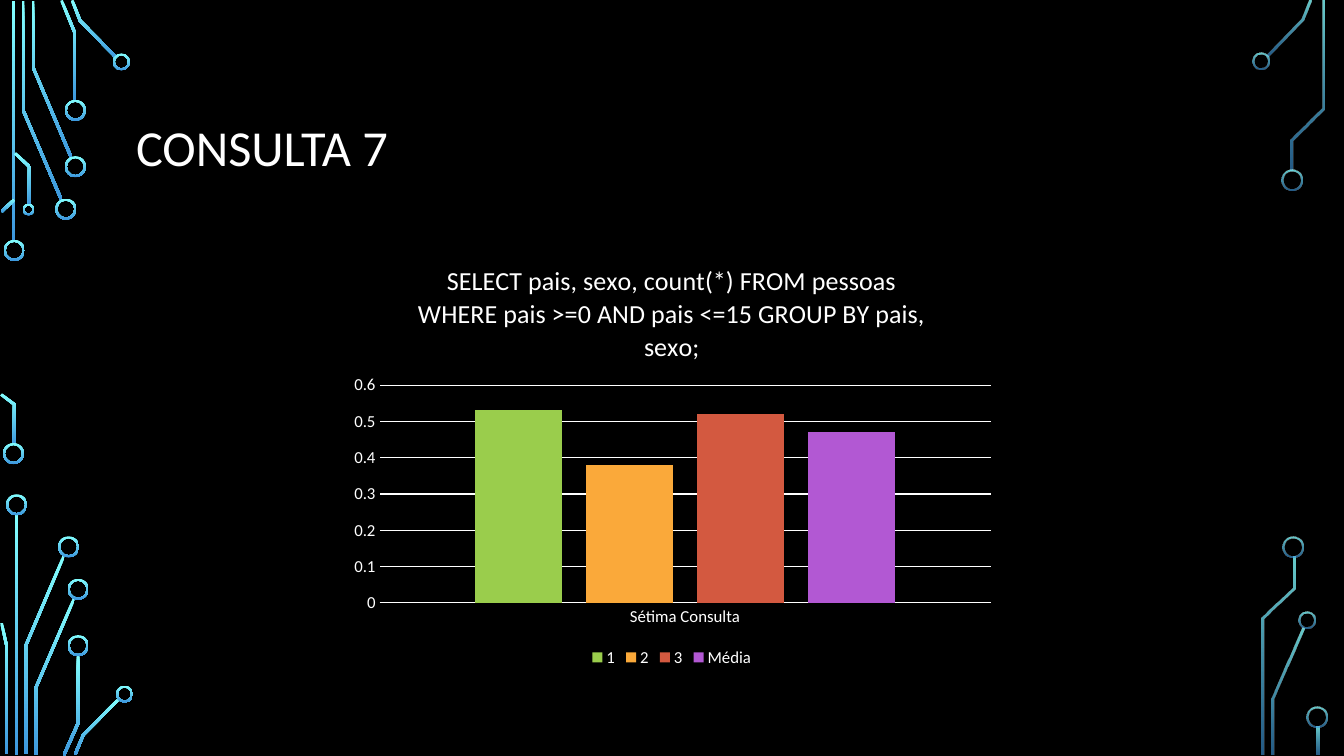
import math
from lxml import etree
from pptx import Presentation
from pptx import util as u
from pptx.chart.data import CategoryChartData
from pptx.dml.color import RGBColor
from pptx.enum import chart as ch, shapes, text
from pptx.oxml import parse_xml
from pptx.oxml.ns import nsdecls, qn

Cm, Pt = u.Cm, u.Pt
FONT = "Calibri"
COLORS = {"bg": "000000", "text": "FFFFFF", "glow": "82FFFF", "deep": "3D97DE",
          "1": "9ACD4C", "2": "FAA93A", "3": "D35940", "Média": "B258D3"}
TRACE, RING = 0.07, 0.05            # stroke widths in cm
BIG, MID, SMALL = 0.53, 0.43, 0.3   # node diameters in cm

# Circuit regions: (left, top), opacity of both gradient ends, traces, nodes.
# Traces and nodes are in cm from the region's corner.
CIRCUITS = [
    ((0, 0), (100, 100),
     [[(.34, .02), (.34, 6.1)],
      [(.58, .02), (.58, 2.77), (1.55, 5.04)],
      [(.83, .02), (.83, 1.69), (1.8, 3.98)],
      [(1.55, .01), (1.89, .84), (1.89, 2.54)],
      [(1.82, .01), (2.02, .52), (2.93, 1.45)],
      [(.04, 5.33), (.36, 5.03)],
      [(.38, 3.86), (.74, 4.2), (.74, 5.16)]],
     [(.36, 6.31, BIG), (1.66, 5.27, BIG), (1.9, 4.2, BIG),
      (1.9, 2.78, BIG), (3.06, 1.56, MID), (.72, 5.28, SMALL)]),
    ((0, 9.86), (100, 100),
     [[(.03, .08), (.36, .33), (.36, 1.35)]],
     [(.34, 1.57, BIG)]),
    ((0, 12.45), (100, 100),
     [[(.42, .51), (.42, 6.58)],
      [(.65, 6.55), (.65, 3.82), (1.61, 1.56)],
      [(.17, 6.55), (.17, 3.84), (.04, 3.25)],
      [(.9, 6.58), (.9, 4.89), (1.87, 2.63)],
      [(1.61, 6.58), (1.97, 5.77), (1.97, 4.06)],
      [(1.89, 6.57), (2.1, 6.07), (3, 5.16)]],
     [(.42, .27, BIG), (1.73, 1.33, BIG), (1.97, 2.4, BIG),
      (1.97, 3.82, BIG), (3.14, 5.04, MID)]),
    ((31.57, 0), (80, 60),
     [[(1.46, .01), (1.26, .5), (.36, 1.41)],
      [(1.77, .02), (1.77, 2.73), (.99, 3.52), (.99, 4.29)]],
     [(.22, 1.54, MID), (1, 4.53, BIG)]),
    ((31.78, 13.51), (80, 60),
     [[(.04, 5.51), (.04, 2.07), (.83, 1.31), (.83, .51)],
      [(.29, 5.51), (.29, 4.1), (1.07, 2.32)],
      [(1.44, 4.8), (1.44, 5.51)]],
     [(.81, .27, BIG), (1.16, 2.12, MID), (1.41, 4.57, BIG)]),
]


def rgb(name):
    return RGBColor.from_string(COLORS[name])


def style_font(font, size):
    font.name, font.size, font.bold = FONT, Pt(size), False
    font.color.rgb = rgb("text")


def glow(sp, opacity):
    """Vertical light-to-deep blue gradient without outline or shadow."""
    sp.shadow.inherit = False
    sp.line.fill.background()
    sp.fill.gradient()
    sp.fill.gradient_angle = 270
    for stop, name, alpha in zip(sp.fill.gradient_stops, ("glow", "deep"), opacity):
        stop.color.rgb = rgb(name)
    for clr, alpha in zip(sp._element.spPr.iter(qn("a:srgbClr")), opacity):
        if alpha < 100:
            etree.SubElement(clr, qn("a:alpha")).set("val", str(alpha * 1000))


def ribbon(pts):
    """Outline of a band of width TRACE around a polyline, with mitred bends."""
    dirs = [math.atan2(y2 - y1, x2 - x1) for (x1, y1), (x2, y2) in zip(pts, pts[1:])]
    left, right = [], []
    for (x, y), a, b in zip(pts, dirs[:1] + dirs, dirs + dirs[-1:]):
        mid, reach = (a + b) / 2, TRACE / 2 / math.cos((b - a) / 2)
        dx, dy = -math.sin(mid) * reach, math.cos(mid) * reach
        left.append((x + dx, y + dy))
        right.append((x - dx, y - dy))
    return left + right[::-1]


def add_circuit(s, corner, opacity, traces, nodes):
    x0, y0 = corner
    for trace in traces:
        outline = [(Cm(x0 + x), Cm(y0 + y)) for x, y in ribbon(trace)]
        fb = s.shapes.build_freeform(*outline[0], scale=1.0)
        fb.add_line_segments(outline[1:], close=True)
        glow(fb.convert_to_shape(), opacity)
    for x, y, d in nodes:
        sp = s.shapes.add_shape(shapes.MSO_SHAPE.DONUT, Cm(x0 + x - d / 2),
                                Cm(y0 + y - d / 2), Cm(d), Cm(d))
        sp.adjustments[0] = RING / d
        glow(sp, opacity)


def add_title(s, box, words):
    tf = s.shapes.add_textbox(*map(Cm, box)).text_frame
    tf.word_wrap = True
    tf.vertical_anchor = text.MSO_ANCHOR.MIDDLE
    p = tf.paragraphs[0]
    p.text, p.line_spacing = words, 0.9
    style_font(p.runs[0].font, 36)


def add_query_chart(s, box, title, category, values):
    data = CategoryChartData()
    data.categories = [category]
    for name, value in values.items():
        data.add_series(name, [value])
    chart = s.shapes.add_chart(ch.XL_CHART_TYPE.COLUMN_CLUSTERED,
                               *map(Cm, box), data).chart
    style_font(chart.font, 10)

    # Title and legend
    chart.has_title = True
    tf = chart.chart_title.text_frame
    tf.text = title
    style_font(tf.paragraphs[0].runs[0].font, 18.6)
    chart.chart_title.include_in_layout = False
    chart.has_legend = True
    chart.legend.position = ch.XL_LEGEND_POSITION.BOTTOM
    chart.legend.include_in_layout = False
    style_font(chart.legend.font, 12)

    # Columns
    plot = chart.plots[0]
    plot.gap_width, plot.overlap, plot.vary_by_categories = 219, -27, False
    for series in plot.series:
        series.format.fill.solid()
        series.format.fill.fore_color.rgb = rgb(series.name)

    # Axes
    cat, val = chart.category_axis, chart.value_axis
    for axis in (cat, val):
        axis.major_tick_mark = axis.minor_tick_mark = ch.XL_TICK_MARK.NONE
        style_font(axis.tick_labels.font, 12)
    for line in (cat.format.line, val.major_gridlines.format.line):
        line.color.rgb, line.width = rgb("text"), Pt(0.75)
    val.format.line.fill.background()
    val.minimum_scale, val.maximum_scale, val.major_unit = 0, 0.6, 0.1
    val.tick_labels.number_format = "General"
    val.tick_labels.number_format_is_linked = False

    # Inner plot area as fractions of the chart box
    area = chart._chartSpace.chart.plotArea
    for old in area.findall(qn("c:layout")):
        area.remove(old)
    parts = "".join(f'<c:{k} val="{v}"/>' for k, v in (
        ("layoutTarget", "inner"), ("xMode", "edge"), ("yMode", "edge"),
        ("x", 0.06), ("y", 0.33), ("w", 0.92), ("h", 0.51)))
    area.insert(0, parse_xml(f'<c:layout {nsdecls("c")}><c:manualLayout>{parts}'
                             '</c:manualLayout></c:layout>'))


prs = Presentation()
prs.slide_width, prs.slide_height = Cm(33.87), Cm(19.05)
s = prs.slides.add_slide(prs.slide_layouts[6])
s.background.fill.solid()
s.background.fill.fore_color.rgb = rgb("bg")

for circuit in CIRCUITS:
    add_circuit(s, *circuit)
add_title(s, (3.18, 1.73, 27.51, 4.11), "CONSULTA 7")
add_query_chart(
    s, (8.56, 6.15, 16.74, 10.77),
    "SELECT pais, sexo, count(*) FROM pessoas WHERE pais >=0 AND pais <=15 "
    "GROUP BY pais, sexo;",
    "Sétima Consulta", {"1": 0.53, "2": 0.38, "3": 0.52, "Média": 0.47})

prs.save("out.pptx")
